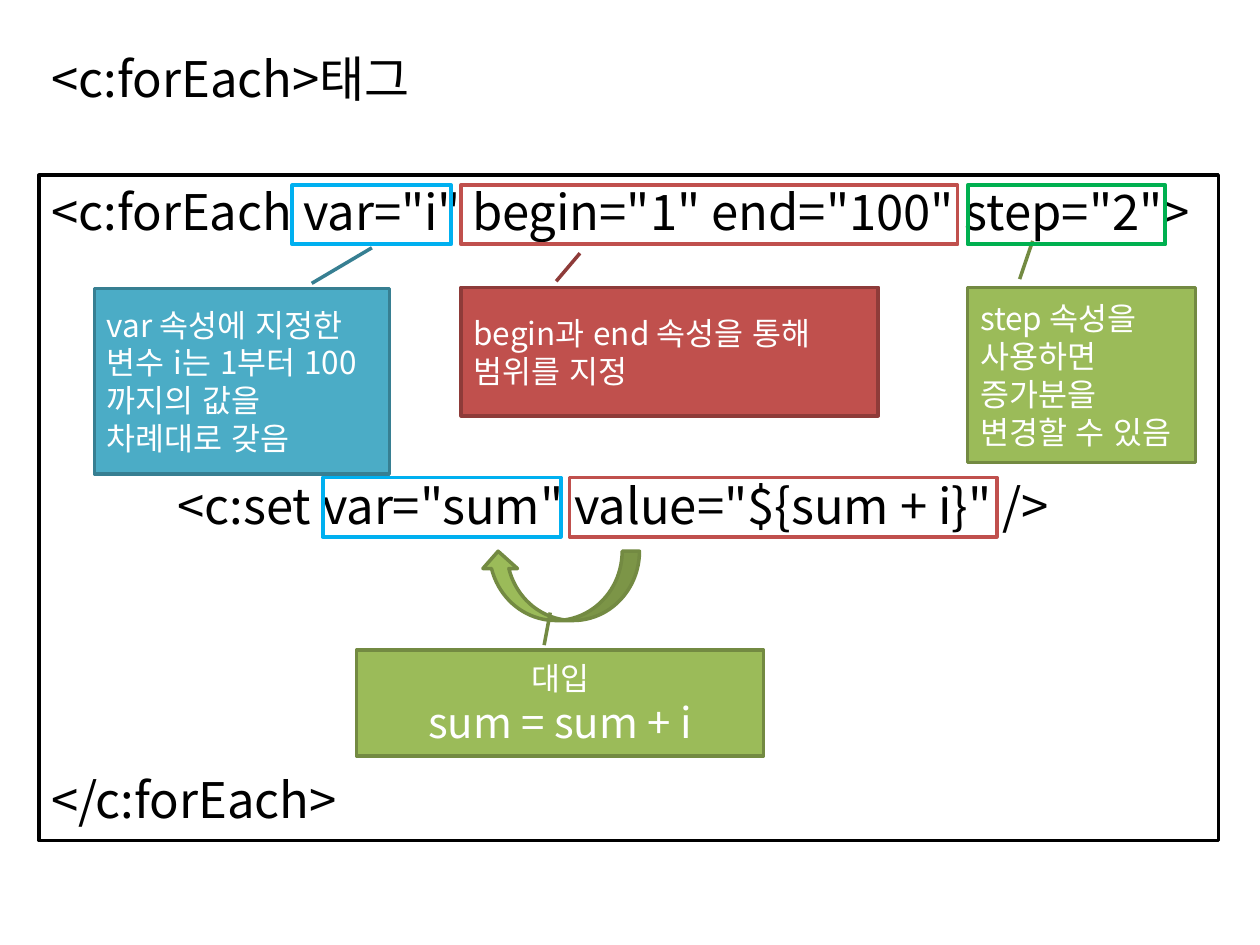
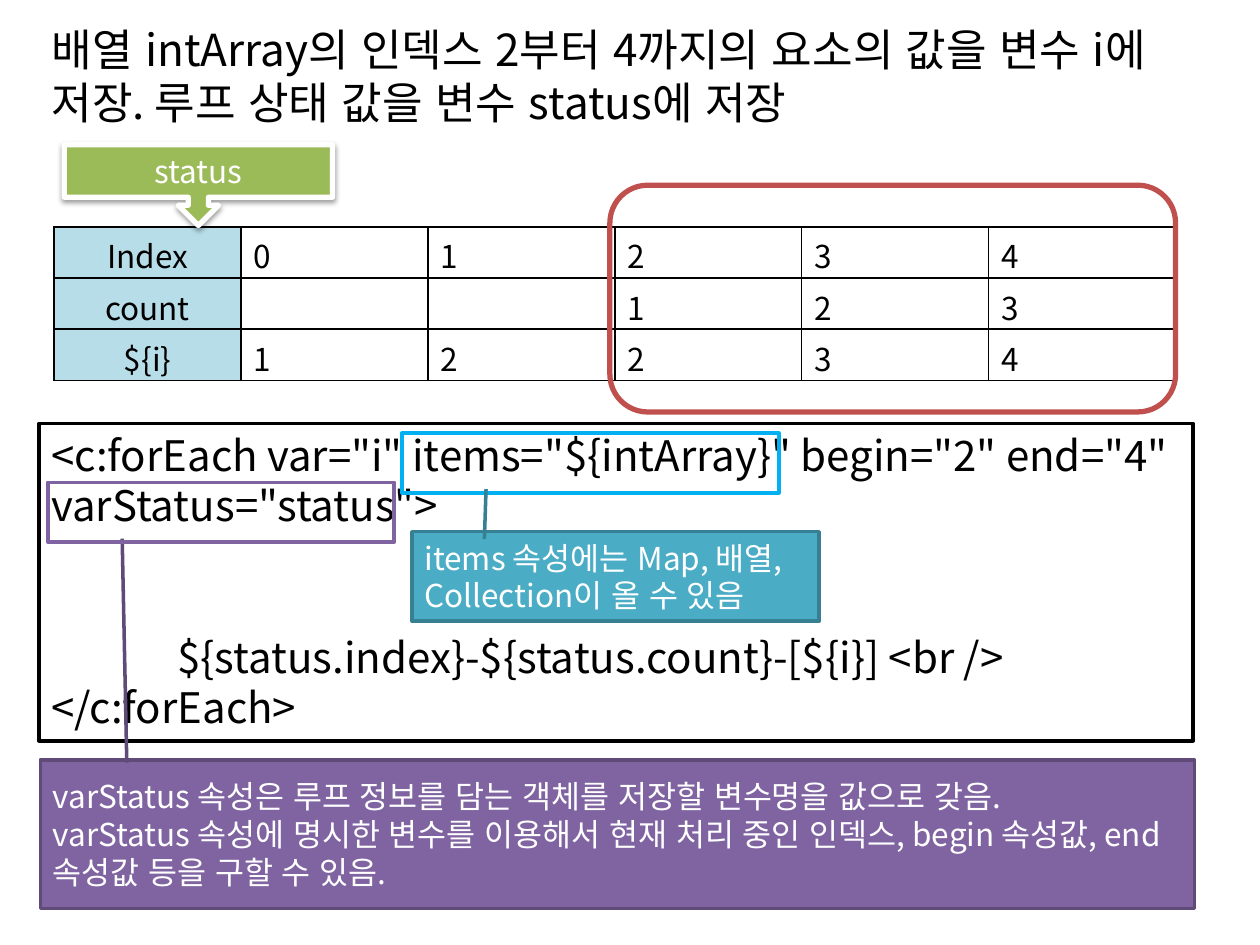
from dataclasses import dataclass

from lxml import etree
from pptx import Presentation
from pptx.dml.color import RGBColor
from pptx.enum.lang import MSO_LANGUAGE_ID
from pptx.enum.shapes import MSO_SHAPE
from pptx.enum.text import MSO_ANCHOR, MSO_AUTO_SIZE, PP_ALIGN
from pptx.oxml.ns import qn
from pptx.util import Inches, Pt

KOREAN = MSO_LANGUAGE_ID.KOREAN
RECTANGLE = MSO_SHAPE.RECTANGLE
ROUNDED = MSO_SHAPE.ROUNDED_RECTANGLE
CALLOUT = MSO_SHAPE.LINE_CALLOUT_1
CURVED_ARROW = MSO_SHAPE.CURVED_LEFT_ARROW
ARROW_CALLOUT = MSO_SHAPE.DOWN_ARROW_CALLOUT
TOP, MIDDLE, BOTTOM = MSO_ANCHOR.TOP, MSO_ANCHOR.MIDDLE, MSO_ANCHOR.BOTTOM
LEFT, CENTER = PP_ALIGN.LEFT, PP_ALIGN.CENTER

FONT = "Noto Sans CJK KR"
LINE_PITCH = 1.2
TITLE_ONLY_LAYOUT = 5
COLORS = {
    "black": "000000", "white": "FFFFFF",
    "red": "C0504D", "red_edge": "8E3B39",
    "teal": "4BACC6", "teal_edge": "377F92",
    "green": "9BBB59", "green_edge": "738A42",
    "purple": "8064A2", "purple_edge": "5F4A78",
    "sky": "00B0F0", "emerald": "00B050", "header": "B7DEE8",
}


@dataclass
class Line:
    """One paragraph; skipped is the number of empty lines above it."""
    text: str
    size: float = 18
    skipped: int = 0
    indent: float = 0


@dataclass
class Highlight:
    left: float
    top: float
    width: float
    color: str


@dataclass
class Callout:
    """A note whose pointer gives y, x of its start and end as box fractions."""
    area: tuple[float, float, float, float]
    pointer: tuple[float, float, float, float]
    color: str
    lines: list[Line]
    align: PP_ALIGN = LEFT
    margin_right: float = 0.1


def rgb(name: str) -> RGBColor:
    return RGBColor.from_string(COLORS[name])


def inches(area: tuple) -> list:
    return [Inches(value) for value in area]


def write_text(frame, lines: list[Line], color: str = "black",
               align: PP_ALIGN = LEFT, anchor: MSO_ANCHOR = MIDDLE) -> None:
    frame.word_wrap = True
    frame.auto_size = MSO_AUTO_SIZE.NONE
    frame.vertical_anchor = anchor
    for index, line in enumerate(lines):
        para = frame.paragraphs[0] if index == 0 else frame.add_paragraph()
        pitch = LINE_PITCH * line.size
        para.alignment = align
        para.line_spacing = Pt(pitch)
        para.space_before = Pt(pitch * line.skipped)
        properties = para._p.get_or_add_pPr()
        properties.set("marL", str(Inches(line.indent)))
        properties.set("indent", "0")
        properties.set("hangingPunct", "0")
        if line.text:
            span = para.add_run()
            span.text = line.text
            span.font.size = Pt(line.size)
            span.font.language_id = KOREAN
            span.font.color.rgb = rgb(color)
            span.font.name = FONT
            east_asian = etree.SubElement(span.font._element, qn("a:ea"))
            east_asian.set("typeface", FONT)


def add_box(page, kind: MSO_SHAPE, area: tuple, fill: str | None = None,
            line: str = "black", weight: float = 2):
    box = page.shapes.add_shape(kind, *inches(area))
    box.shadow.inherit = False
    if fill:
        box.fill.solid()
        box.fill.fore_color.rgb = rgb(fill)
    else:
        box.fill.background()
    box.line.color.rgb = rgb(line)
    box.line.width = Pt(weight)
    return box


def add_page(deck, title: str, area: tuple, size: float):
    page = deck.slides.add_slide(deck.slide_layouts[TITLE_ONLY_LAYOUT])
    box = page.shapes.title
    box.left, box.top, box.width, box.height = inches(area)
    box.text_frame.margin_right = Inches(0.25)
    write_text(box.text_frame, [Line(title, size)])
    return page


def add_code(page, area: tuple, lines: list[Line]) -> None:
    box = add_box(page, RECTANGLE, area, fill="white")
    write_text(box.text_frame, lines, anchor=TOP)


def add_callout(page, note: Callout) -> None:
    box = add_box(page, CALLOUT, note.area, note.color, f"{note.color}_edge")
    for index, value in enumerate(note.pointer):
        box.adjustments[index] = value
    box.text_frame.margin_right = Inches(note.margin_right)
    write_text(box.text_frame, note.lines, "white", note.align)


def add_highlight(page, mark: Highlight) -> None:
    area = (mark.left, mark.top, mark.width, 0.47)
    add_box(page, RECTANGLE, area, line=mark.color, weight=2.25)


def add_soft_shadow(box) -> None:
    effects = box._element.spPr.find(qn("a:effectLst"))
    shadow = etree.SubElement(effects, qn("a:outerShdw"), blurRad=str(Pt(3.1)),
                              dist=str(Pt(1.6)), dir="5400000", rotWithShape="0")
    color = etree.SubElement(shadow, qn("a:srgbClr"), val=COLORS["black"])
    etree.SubElement(color, qn("a:alpha"), val="38000")


def add_borders(cell) -> None:
    properties = cell._tc.get_or_add_tcPr()
    for position, side in enumerate(("a:lnL", "a:lnR", "a:lnT", "a:lnB")):
        border = etree.Element(qn(side), w=str(Pt(1)))
        fill = etree.SubElement(border, qn("a:solidFill"))
        etree.SubElement(fill, qn("a:srgbClr"), val=COLORS["black"])
        properties.insert(position, border)


def add_status_table(page, rows: list[list[str]]) -> None:
    area = (0.43, 1.8, 8.9, 1.22)
    table = page.shapes.add_table(len(rows), len(rows[0]), *inches(area)).table
    for row_index, row in enumerate(rows):
        for column_index, text in enumerate(row):
            is_header = column_index == 0
            cell = table.cell(row_index, column_index)
            cell.margin_bottom = 0
            cell.fill.solid()
            cell.fill.fore_color.rgb = rgb("header" if is_header else "white")
            add_borders(cell)
            write_text(cell.text_frame, [Line(text)],
                       align=CENTER if is_header else LEFT)
            cell.vertical_anchor = BOTTOM


def build_loop_page(deck) -> None:
    page = add_page(deck, "<c:forEach>태그", (0.31, 0.3, 9.45, 0.64), 28)
    add_code(page, (0.31, 1.39, 9.36, 5.28), [
        Line('<c:forEach var="i" begin="1" end="100" step="2">', 28),
        Line('<c:set var="sum" value="${sum + i}" />', 28, skipped=4, indent=1),
        Line("</c:forEach>", 28, skipped=4),
    ])
    pointer = (-0.047, 0.228, -0.265, 0.285)
    notes = [
        Callout((3.66, 2.28, 3.31, 1.02), pointer, "red",
                [Line("begin과 end 속성을 통해 범위를 지정")]),
        Callout((0.75, 2.29, 2.34, 1.47), (-0.028, 0.737, -0.22, 0.941), "teal",
                [Line("var 속성에 지정한 변수 i는 1부터 100까지의 값을 차례대로 갖음")]),
        Callout((7.68, 2.28, 1.81, 1.39), pointer, "green",
                [Line("step 속성을 사용하면 증가분을 변경할 수 있음")]),
    ]
    for note in notes:
        add_callout(page, note)
    loop_top, set_top = 1.47, 3.79
    marks = [
        Highlight(3.66, loop_top, 3.94, "red"),
        Highlight(2.32, loop_top, 1.26, "sky"),
        Highlight(7.68, loop_top, 1.57, "emerald"),
        Highlight(4.52, set_top, 3.39, "red"),
        Highlight(2.56, set_top, 1.89, "sky"),
    ]
    for mark in marks:
        add_highlight(page, mark)
    arrow = add_box(page, CURVED_ARROW, (4.17, 4.02, 0.55, 1.26),
                    "green", "green_edge")
    arrow.rotation = 90
    add_callout(page, Callout(
        (2.83, 5.16, 3.23, 0.84), (-0.047, 0.461, -0.355, 0.476), "green",
        [Line("대입"), Line("sum = sum + i", 24)], CENTER))


def build_status_page(deck) -> None:
    title = ("배열 intArray의 인덱스 2부터 4까지의 요소의 값을 변수 i에 저장. "
             "루프 상태 값을 변수 status에 저장")
    page = add_page(deck, title, (0.31, 0.13, 9.45, 0.93), 25.2)
    add_code(page, (0.31, 3.36, 9.16, 2.52), [
        Line('<c:forEach var="i" items="${intArray}" begin="2" end="4"', 24),
        Line('varStatus="status">', 24),
        Line("${status.index}-${status.count}-[${i}] <br />", 24,
             skipped=2, indent=1),
        Line("</c:forEach>", 24),
    ])
    add_status_table(page, [
        ["Index", "0", "1", "2", "3", "4"],
        ["count", "", "", "1", "2", "3"],
        ["${i}", "1", "2", "2", "3", "4"],
    ])
    status = add_box(page, ARROW_CALLOUT, (0.51, 1.15, 2.13, 0.64),
                     "green", "white", 3)
    add_soft_shadow(status)
    write_text(status.text_frame, [Line("status")], "white", CENTER)
    add_box(page, ROUNDED, (4.84, 1.47, 4.49, 1.8), line="red", weight=3)
    add_highlight(page, Highlight(3.19, 3.44, 2.99, "sky"))
    add_callout(page, Callout(
        (3.27, 4.22, 3.23, 0.71), (0.081, 0.178, -0.478, 0.182), "teal",
        [Line("items 속성에는 Map, 배열, Collection이 올 수 있음")]))
    add_callout(page, Callout(
        (0.32, 6.03, 9.16, 1.18), (0.019, 0.075, -1.487, 0.071), "purple",
        [Line("varStatus 속성은 루프 정보를 담는 객체를 저장할 변수명을 값으로 갖음."),
         Line("varStatus 속성에 명시한 변수를 이용해서 현재 처리 중인 인덱스, "
              "begin 속성값, end 속성값 등을 구할 수 있음.")], margin_right=0.25))
    add_highlight(page, Highlight(0.38, 3.83, 2.75, "purple"))


def main() -> None:
    deck = Presentation()
    deck.slide_width, deck.slide_height = Inches(10), Inches(7.5)
    build_loop_page(deck)
    build_status_page(deck)
    deck.save("out.pptx")


if __name__ == "__main__":
    main()
